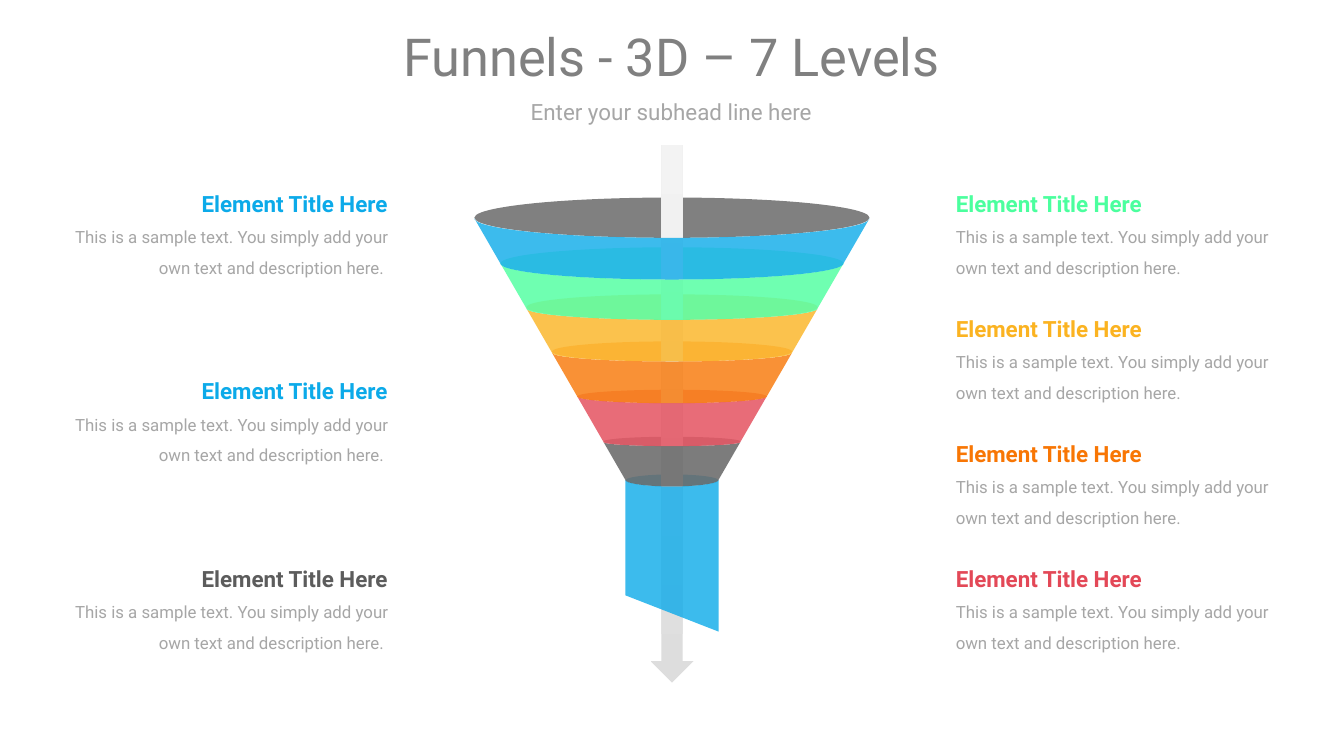
from math import cos, pi, radians, sin, tan
from lxml.etree import SubElement
from pptx import Presentation
from pptx.dml.color import RGBColor
from pptx.enum.shapes import MSO_SHAPE
from pptx.enum.text import MSO_ANCHOR, MSO_AUTO_SIZE, PP_ALIGN
from pptx.oxml.ns import qn
from pptx.util import Inches, Pt

BLUE = RGBColor(0x0C, 0xAA, 0xE9)
GREEN = RGBColor(0x4B, 0xFF, 0x9E)
YELLOW = RGBColor(0xFB, 0xB3, 0x21)
ORANGE = RGBColor(0xF8, 0x76, 0x04)
RED = RGBColor(0xE3, 0x48, 0x57)
CHARCOAL = RGBColor(0x5C, 0x5C, 0x5C)
GRAY = RGBColor(0x80, 0x80, 0x80)
SILVER = RGBColor(0xA6, 0xA6, 0xA6)
ARROW_DARK = RGBColor(0xDD, 0xDD, 0xDD)
ARROW_LIGHT = RGBColor(0xF3, 0xF3, 0xF3)

presentation = Presentation()
presentation.slide_width = Inches(10)
presentation.slide_height = Inches(10) * 9 // 16
slide = presentation.slides.add_slide(presentation.slide_layouts[6])
shapes = slide.shapes
column = presentation.slide_width / 100
row = presentation.slide_height / 56.25


def add_text(left, top, width, height, alignment, spacing, lines, frame_format):
    box = shapes.add_textbox(*map(round, (left * column, top * row, width * column, height * row)))
    frame = box.text_frame
    margins = dict.fromkeys(("margin_left", "margin_top", "margin_right", "margin_bottom"), 0)
    for name, value in {**margins, "vertical_anchor": MSO_ANCHOR.MIDDLE, **frame_format}.items():
        setattr(frame, name, value)
    for index, (text, size, bold, color) in enumerate(lines):
        paragraph = frame.add_paragraph() if index else frame.paragraphs[0]
        paragraph.alignment = alignment
        paragraph.line_spacing = spacing
        run = paragraph.add_run()
        run.text = text
        for name, value in {"name": "Roboto", "size": Pt(size), "bold": bold}.items():
            setattr(run.font, name, value)
        run.font.color.rgb = color


def paint(shape, color, opacity):
    shape.shadow.inherit = False
    shape.line.fill.background()
    shape.fill.solid()
    shape.fill.fore_color.rgb = color
    if opacity < 100:
        color_element = shape.element.spPr.find(qn("a:solidFill"))[0]
        SubElement(color_element, qn("a:alpha")).set("val", str(opacity * 1000))


add_text(4.2, 7.35, 91.5, 1.9, PP_ALIGN.CENTER, 1.0,
         [("Enter your subhead line here", 12, False, SILVER)], {"word_wrap": False})
add_text(4.2, 1.45, 91.5, 5.4, PP_ALIGN.CENTER, 1.0,
         [("Funnels - 3D – 7 Levels", 28, False, GRAY)], {"word_wrap": True})

BODY = "This is a sample text. You simply add your own text and description here."
first_row, last_row = 13.1, 41
sides = [
    (4.25, PP_ALIGN.RIGHT, BODY + " ", [BLUE, BLUE, CHARCOAL]),
    (71.12, PP_ALIGN.LEFT, BODY, [GREEN, YELLOW, ORANGE, RED]),
]
for left, alignment, body, colors in sides:
    step = (last_row - first_row) / (len(colors) - 1)
    for index, color in enumerate(colors):
        add_text(left, first_row + index * step, 24.6, 7.6, alignment, 1.5,
                 [("Element Title Here", 12, True, color), (body, 9, False, SILVER)],
                 {"word_wrap": True, "auto_size": MSO_AUTO_SIZE.SHAPE_TO_FIT_TEXT})

center = 50
levels = [BLUE, GREEN, YELLOW, ORANGE, RED, CHARCOAL, BLUE]
rims = [
    (14.7, 16.25, 17.7),
    (18.4, 19.6, 20.8),
    (21.9, 22.95, 23.8),
    (25.4, 26.25, 26.9),
    (29, 29.5, 30),
    (32.5, 32.9, 33.2),
    (35.3, 35.7, 36.2),
]
arc_steps = 48
front_arcs = []
for index, (back, edge, front) in enumerate(rims):
    half_width = 14.7 - (edge - rims[0][1]) * tan(radians(30))
    angles = [pi * step / arc_steps for step in range(arc_steps + 1)]
    front_arcs.append([(center - half_width * cos(angle), edge + (front - edge) * sin(angle))
                       for angle in angles])
    rim = shapes.add_shape(MSO_SHAPE.OVAL, round((center - half_width) * column), round(back * row),
                           round(2 * half_width * column), round((front - back) * row))
    paint(rim, levels[index] if index else GRAY, 50 if index else 100)

arrow = shapes.add_shape(MSO_SHAPE.DOWN_ARROW, round(48.4 * column), round(10.8 * row),
                         round(3.2 * column), round(40 * row))
arrow.shadow.inherit = False
arrow.line.fill.background()
arrow.fill.gradient()
arrow.fill.gradient_angle = 90
for stop, position, color in zip(arrow.fill.gradient_stops, (0, 1), (ARROW_DARK, ARROW_LIGHT)):
    stop.position = position
    stop.color.rgb = color

spout = [(front_arcs[-1][0][0], 44.3), (front_arcs[-1][-1][0], 47)]
lower_edges = front_arcs[1:] + [spout]
for color, upper, lower in reversed(list(zip(levels, front_arcs, lower_edges))):
    points = [(round(x * column), round(y * row)) for x, y in upper + lower[::-1]]
    builder = shapes.build_freeform(*points[0])
    builder.add_line_segments(points[1:], close=True)
    paint(builder.convert_to_shape(), color, 80)

presentation.save("out.pptx")
